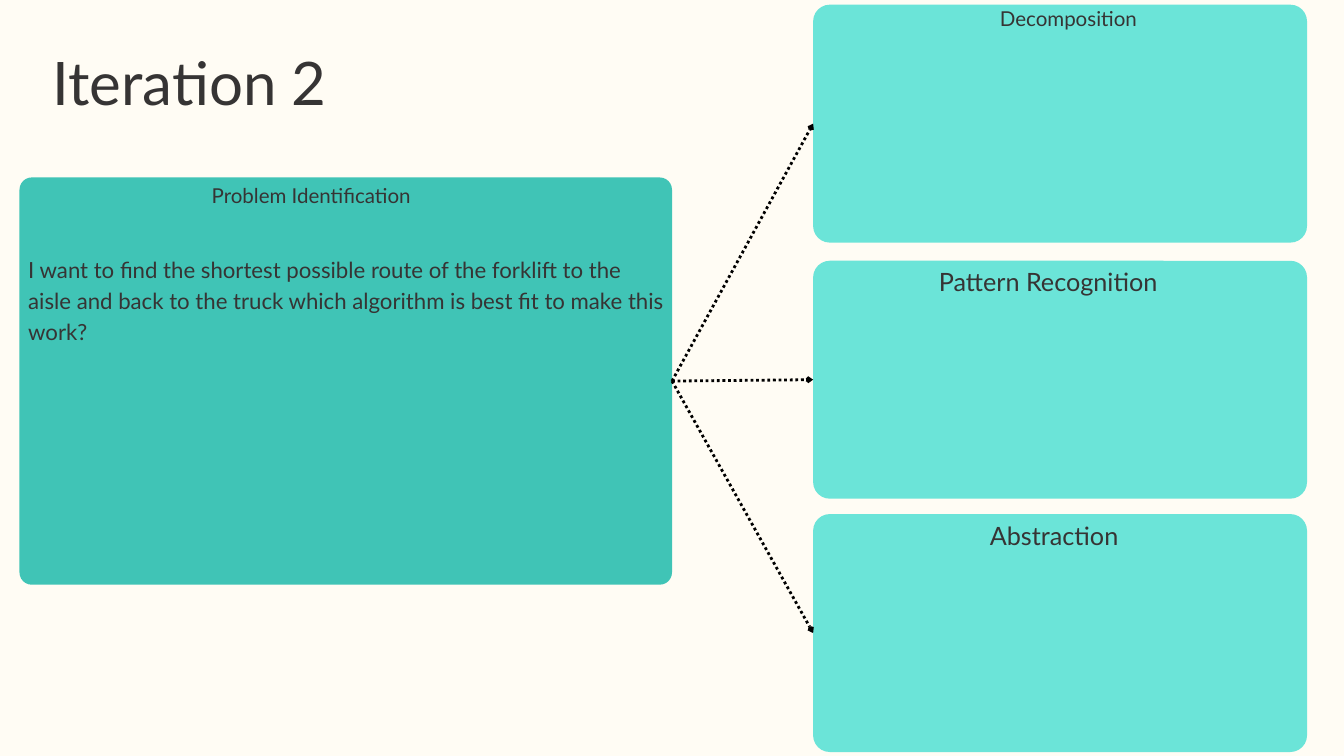
from dataclasses import dataclass
from lxml.etree import SubElement
from pptx import Presentation
from pptx.dml.color import RGBColor
from pptx.enum.dml import MSO_LINE
from pptx.enum.shapes import MSO_CONNECTOR, MSO_SHAPE
from pptx.enum.text import PP_ALIGN
from pptx.oxml.ns import qn
from pptx.util import Inches, Pt

WIDE, HIGH = 20, 11.25


@dataclass(frozen=True)
class Theme:
    font: str = "Lato"
    page: str = "FFFCF4"
    ink: str = "363434"
    line: str = "000000"
    main: str = "40C4B6"
    side: str = "6BE4D8"
    # (type size, line spacing) in points
    title: tuple = (64.3, 59.2)
    label: tuple = (22, 30.8)
    head: tuple = (27, 37.8)
    body: tuple = (23.8, 33.3)


THEME = Theme()


def color(code):
    return RGBColor.from_string(code)


def place(left, top, width, height):
    """Turn percentages of the slide into lengths."""
    return (Inches(left * WIDE / 100), Inches(top * HIGH / 100),
            Inches(width * WIDE / 100), Inches(height * HIGH / 100))


def add_card(slide, area, fill, round_by):
    card = slide.shapes.add_shape(MSO_SHAPE.ROUNDED_RECTANGLE, *place(*area))
    card.adjustments[0] = round_by
    card.shadow.inherit = False
    card.fill.solid()
    card.fill.fore_color.rgb = color(fill)
    card.line.fill.background()
    return card


def add_text(slide, area, words, style, align=PP_ALIGN.LEFT):
    size, space = style
    frame = slide.shapes.add_textbox(*place(*area)).text_frame
    frame.word_wrap = True
    frame.margin_left = frame.margin_right = 0
    frame.margin_top = frame.margin_bottom = 0
    para = frame.paragraphs[0]
    para.alignment = align
    para.line_spacing = Pt(space)
    run = para.add_run()
    run.text = words
    run.font.name = THEME.font
    run.font.size = Pt(size)
    run.font.color.rgb = color(THEME.ink)


def add_arrow(slide, start, end):
    """Join the right side of one card to the left side of another."""
    arrow = slide.shapes.add_connector(MSO_CONNECTOR.STRAIGHT, 0, 0, 0, 0)
    arrow.begin_connect(start, 3)
    arrow.end_connect(end, 1)
    arrow.line.color.rgb = color(THEME.line)
    arrow.line.width = Pt(3)
    arrow.line.dash_style = MSO_LINE.ROUND_DOT
    SubElement(arrow.line._get_or_add_ln(), qn("a:tailEnd"),
               type="arrow", w="sm", len="sm")
    SubElement(arrow._element.spPr, qn("a:effectLst"))


def main():
    deck = Presentation()
    deck.slide_width, deck.slide_height = Inches(WIDE), Inches(HIGH)
    slide = deck.slides.add_slide(deck.slide_layouts[6])
    slide.background.fill.solid()
    slide.background.fill.fore_color.rgb = color(THEME.page)

    # Title
    add_text(slide, (3.9, 8.27, 30.8, 7.91), "Iteration 2", THEME.title)

    # Problem card
    problem = add_card(slide, (1.45, 23.47, 48.55, 53.87), THEME.main, 0.03)
    add_text(slide, (15.75, 23.64, 16.45, 3.73), "Problem Identification",
             THEME.label, PP_ALIGN.JUSTIFY)
    add_text(slide, (2.1, 33.35, 47.25, 12.4),
             "I want to find the shortest possible route of the forklift to "
             "the aisle and back to the truck which algorithm is best fit to "
             "make this work?", THEME.body)

    # Step cards: card top, label area, words, style
    steps = (
        (0.62, (74.4, 0.27, 11.1, 7.56), "Decomposition", THEME.label),
        (34.49, (69.85, 34.58, 18.05, 4.62), "Pattern Recognition", THEME.head),
        (68, (73.65, 68.18, 10.4, 4.62), "Abstraction", THEME.head),
    )
    for top, area, words, style in steps:
        card = add_card(slide, (60.5, top, 36.75, 31.47), THEME.side, 0.07)
        add_arrow(slide, problem, card)
        add_text(slide, area, words, style, PP_ALIGN.JUSTIFY)

    deck.save("out.pptx")


if __name__ == "__main__":
    main()
